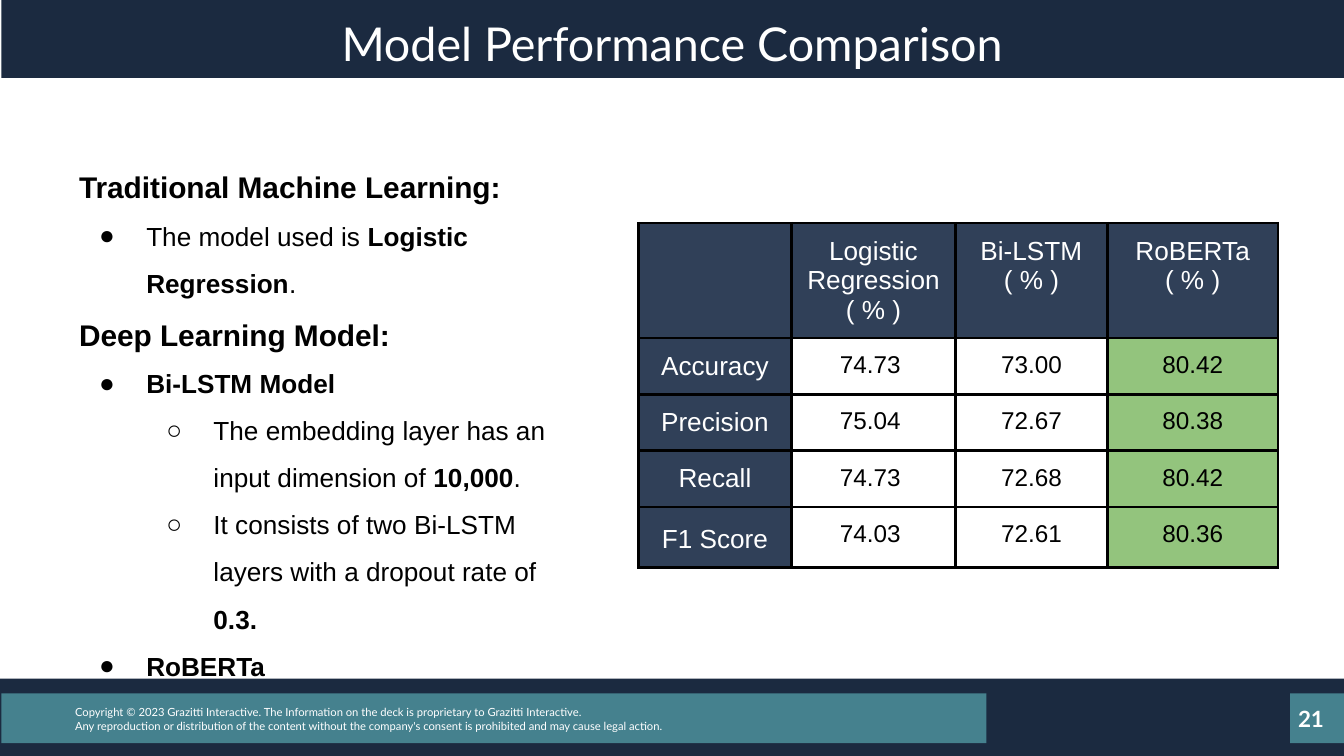
from lxml import etree
from pptx import Presentation
from pptx.dml.color import RGBColor
from pptx.enum import shapes as kinds, text as txt
from pptx.oxml import ns
from pptx.util import Inches, Pt

THEME = {
    "navy": "1B2A40", "slate": "304058", "teal": "45818E", "green": "93C47D",
    "white": "FFFFFF", "black": "000000",
    "heading_font": "Lato", "body_font": "Arial",
    "title": 25, "section": 16, "body": 14, "value": 13, "number": 12, "legal": 6,
}

TITLE = "Model Performance Comparison"
LEGAL = [
    "Copyright © 2023 Grazitti Interactive. The Information on the deck is proprietary to Grazitti Interactive.",
    "Any reproduction or distribution of the content without the company's consent is prohibited and may cause legal action.",
]
PAGE = "21"
OUTLINE = [
    (0, "**Traditional Machine Learning:**"),
    (1, "The model used is **Logistic Regression**."),
    (0, "**Deep Learning Model:**"),
    (1, "**Bi-LSTM Model**"),
    (2, "The embedding layer has an input dimension of **10,000**."),
    (2, "It consists of two Bi-LSTM layers with a dropout rate of **0.3.**"),
    (1, "**RoBERTa**"),
]
BULLETS = {1: "●", 2: "○"}
LEVEL_SIZES = ["section", "body", "body"]
SCORES = [
    ["", "Logistic Regression ( % )", "Bi-LSTM\n( % )", "RoBERTa\n( % )"],
    ["Accuracy", "74.73 ", "73.00", "80.42"],
    ["Precision", "75.04 ", "72.67", "80.38"],
    ["Recall", "74.73 ", "72.68", "80.42"],
    ["F1 Score", "74.03 ", "72.61", "80.36"],
]
COLUMN_WIDTHS = [1.14, 1.22, 1.13, 1.27]
ROW_HEIGHTS = [0.78] + [0.41] * 4
BANDS = [
    (0.01, 0, 10.05, 0.58, "navy"),
    (0, 5.05, 10.01, 0.58, "navy"),
    (0.01, 5.16, 7.33, 0.37, "teal"),
    (9.6, 5.16, 0.42, 0.37, "teal"),
]


def color(name):
    return RGBColor.from_string(THEME[name])


def add_xml(parent, tag, **attributes):
    return etree.SubElement(parent, ns.qn(tag), attributes)


def write(paragraph, words, size="body", font="body_font", ink="black",
          bold=False, align=txt.PP_ALIGN.LEFT, spacing=1.0, level=0):
    if level:
        props = paragraph._p.get_or_add_pPr()
        props.set("marL", str(Inches(0.5 * level)))
        props.set("indent", str(Inches(-0.35)))
        add_xml(add_xml(props, "a:buClr"), "a:srgbClr", val=THEME[ink])
        add_xml(props, "a:buFont", typeface=THEME[font])
        add_xml(props, "a:buChar", char=BULLETS[level])
        paragraph.level = level - 1
    paragraph.alignment = align
    paragraph.line_spacing = spacing
    paragraph.space_before = Pt(0)
    for index, part in enumerate(words.split("**")):
        if part:
            run = paragraph.add_run()
            run.text = part
            run.font.size = Pt(THEME[size])
            run.font.name = THEME[font]
            run.font.color.rgb = color(ink)
            run.font.bold = bold or index % 2 == 1


def set_margins(holder):
    holder.margin_left = holder.margin_right = Inches(0.1)
    holder.margin_top = holder.margin_bottom = Inches(0.1)


def set_frame(frame, anchor):
    frame.word_wrap = True
    frame.auto_size = txt.MSO_AUTO_SIZE.NONE
    frame.vertical_anchor = anchor
    set_margins(frame)
    return frame


def next_paragraph(frame, index):
    return frame.add_paragraph() if index else frame.paragraphs[0]


def add_frame(slide, box, anchor=txt.MSO_ANCHOR.TOP):
    return set_frame(slide.shapes.add_textbox(*map(Inches, box)).text_frame, anchor)


def add_bands(slide):
    for *box, fill in BANDS:
        band = slide.shapes.add_shape(kinds.MSO_SHAPE.RECTANGLE, *map(Inches, box))
        band.shadow.inherit = False
        band.fill.solid()
        band.fill.fore_color.rgb = color(fill)
        band.line.fill.background()


def add_title(slide):
    title = slide.shapes.title
    title.left, title.top, title.width, title.height = map(Inches, (0.49, 0.04, 9.02, 0.49))
    frame = set_frame(title.text_frame, txt.MSO_ANCHOR.MIDDLE)
    write(frame.paragraphs[0], TITLE, size="title", font="heading_font", ink="white",
          align=txt.PP_ALIGN.CENTER, spacing=1.15)
    title.element.getparent().append(title.element)


def add_footer(slide):
    legal = add_frame(slide, (0.46, 5.15, 6.95, 0.4))
    for index, line in enumerate(LEGAL):
        write(next_paragraph(legal, index), line, size="legal",
              font="heading_font", ink="white")
    number = add_frame(slide, (9.35, 5.13, 0.6, 0.43), txt.MSO_ANCHOR.MIDDLE)
    write(number.paragraphs[0], PAGE, size="number", font="heading_font",
          ink="white", bold=True, align=txt.PP_ALIGN.RIGHT)


def add_outline(slide):
    outline = add_frame(slide, (0.49, 1.02, 3.97, 4.42))
    for index, (level, words) in enumerate(OUTLINE):
        write(next_paragraph(outline, index), words, size=LEVEL_SIZES[level],
              spacing=1.5, level=level)


def draw_borders(cell):
    props = cell._tc.get_or_add_tcPr()
    for side in ("a:lnL", "a:lnR", "a:lnT", "a:lnB"):
        edge = add_xml(props, side, w=str(Pt(1.5)))
        add_xml(add_xml(edge, "a:solidFill"), "a:srgbClr", val=THEME["black"])


def add_scores(slide):
    table = slide.shapes.add_table(
        len(SCORES), len(COLUMN_WIDTHS), Inches(4.75), Inches(1.66),
        Inches(sum(COLUMN_WIDTHS)), Inches(sum(ROW_HEIGHTS))).table
    for column, width in zip(table.columns, COLUMN_WIDTHS):
        column.width = Inches(width)
    for row, height in zip(table.rows, ROW_HEIGHTS):
        row.height = Inches(height)
    for r, scores in enumerate(SCORES):
        for c, score in enumerate(scores):
            cell = table.cell(r, c)
            set_margins(cell)
            draw_borders(cell)
            label = r == 0 or c == 0
            if label or c == len(scores) - 1:
                cell.fill.solid()
                cell.fill.fore_color.rgb = color("slate" if label else "green")
            else:
                cell.fill.background()
            for index, words in enumerate(score.split("\n")):
                write(next_paragraph(cell.text_frame, index), words,
                      size="body" if label else "value",
                      ink="white" if label else "black", align=txt.PP_ALIGN.CENTER,
                      spacing=1.15 if score == "F1 Score" else 1.0)


def main():
    deck = Presentation()
    deck.slide_width, deck.slide_height = Inches(10), Inches(10 * 9 / 16)
    slide = deck.slides.add_slide(deck.slide_layouts[5])
    add_scores(slide)
    add_bands(slide)
    add_title(slide)
    add_footer(slide)
    add_outline(slide)
    deck.save("out.pptx")


if __name__ == "__main__":
    main()
